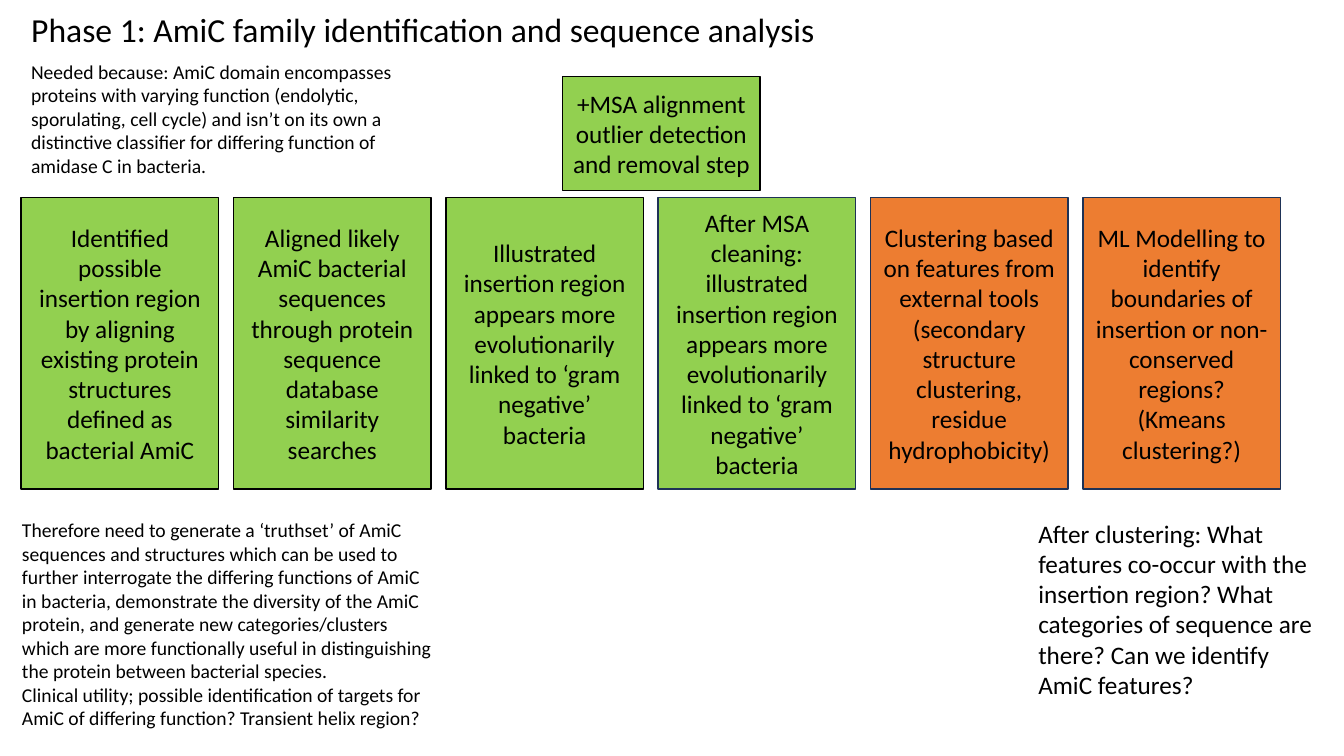
import pptx
import pptx.dml.color
import pptx.enum.shapes
import pptx.enum.text
import pptx.util

Inches = pptx.util.Inches
RGBColor = pptx.dml.color.RGBColor
Align = pptx.enum.text.PP_ALIGN
Anchor = pptx.enum.text.MSO_ANCHOR

BLACK = RGBColor(0x00, 0x00, 0x00)
NAVY = RGBColor(0x1E, 0x32, 0x56)
GREEN = RGBColor(0x92, 0xD0, 0x50)
ORANGE = RGBColor(0xED, 0x7D, 0x31)

STEP_LEFT, STEP_TOP, LAST_STEP_LEFT = 0.21, 1.96, 10.74
STEP_WIDTH, STEP_HEIGHT = 1.96, 2.89

STEPS = [
    ("Identified possible insertion region by aligning existing protein "
     "structures defined as bacterial AmiC", GREEN, BLACK),
    ("Aligned likely AmiC bacterial sequences through protein sequence "
     "database similarity searches", GREEN, BLACK),
    ("Illustrated insertion region appears more evolutionarily linked to "
     "‘gram negative’ bacteria", GREEN, BLACK),
    ("After MSA cleaning: illustrated insertion region appears more "
     "evolutionarily linked to ‘gram negative’ bacteria", GREEN, NAVY),
    ("Clustering based on features from external tools (secondary structure "
     "clustering, residue hydrophobicity)", ORANGE, NAVY),
    ("ML Modelling to identify boundaries of insertion or non-conserved "
     "regions? (Kmeans clustering?)", ORANGE, NAVY),
]

NEED = [
    "Needed because: AmiC domain encompasses proteins with varying function "
    "(endolytic, sporulating, cell cycle) and isn’t on its own a distinctive "
    "classifier for differing function of amidase C in bacteria.",
]
PURPOSE = [
    "Therefore need to generate a ‘truthset’ of AmiC sequences and structures "
    "which can be used to further interrogate the differing functions of AmiC "
    "in bacteria, demonstrate the diversity of the AmiC protein, and generate "
    "new categories/clusters which are more functionally useful in "
    "distinguishing the protein between bacterial species.",
    "Clinical utility; possible identification of targets for AmiC of "
    "differing function? Transient helix region?",
]
QUESTIONS = [
    "After clustering: What features co-occur with the insertion region? What "
    "categories of sequence are there? Can we identify AmiC features?",
]


class PhasePage:
    font = "Calibri"

    def __init__(self, deck):
        self.page = deck.slides.add_slide(deck.slide_layouts[5])

    def fill_text(self, box, texts, size, align=Align.LEFT, anchor=Anchor.TOP):
        frame = box.text_frame
        frame.word_wrap = True
        frame.auto_size = pptx.enum.text.MSO_AUTO_SIZE.NONE
        frame.vertical_anchor = anchor
        for index, text in enumerate(texts):
            para = frame.add_paragraph() if index else frame.paragraphs[0]
            para.alignment = align
            span = para.add_run()
            span.text = text
            span.font.name = self.font
            span.font.size = pptx.util.Pt(size)
            span.font.color.rgb = BLACK

    def title(self, text, left, top, width, height):
        box = self.page.shapes.title
        box.left, box.top = Inches(left), Inches(top)
        box.width, box.height = Inches(width), Inches(height)
        self.fill_text(box, [text], 24)

    def note(self, texts, size, left, top, width, height):
        box = self.page.shapes.add_textbox(
            Inches(left), Inches(top), Inches(width), Inches(height))
        self.fill_text(box, texts, size)

    def step(self, text, fill, line, left, top, height):
        box = self.page.shapes.add_shape(
            pptx.enum.shapes.MSO_SHAPE.RECTANGLE,
            Inches(left), Inches(top), Inches(STEP_WIDTH), Inches(height))
        box.shadow.inherit = False
        box.fill.solid()
        box.fill.fore_color.rgb = fill
        box.line.color.rgb = line
        box.line.width = pptx.util.Pt(1)
        self.fill_text(box, [text], 18, Align.CENTER, Anchor.MIDDLE)


def main():
    deck = pptx.Presentation()
    deck.slide_width, deck.slide_height = Inches(13.33), Inches(7.5)
    phase = PhasePage(deck)
    phase.title("Phase 1: AmiC family identification and sequence analysis",
                0.21, 0.04, 8.05, 0.5)
    phase.note(NEED, 14, 0.21, 0.54, 4.3, 1.28)
    phase.step("+MSA alignment outlier detection and removal step",
               GREEN, BLACK, 5.58, 0.76, 1.13)
    pitch = (LAST_STEP_LEFT - STEP_LEFT) / (len(STEPS) - 1)
    for index, (text, fill, line) in enumerate(STEPS):
        phase.step(text, fill, line, STEP_LEFT + index * pitch, STEP_TOP, STEP_HEIGHT)
    phase.note(PURPOSE, 14, 0.12, 5.09, 4.3, 2.22)
    phase.note(QUESTIONS, 18, 10.2, 5.09, 3.04, 1.92)
    deck.save("out.pptx")


if __name__ == "__main__":
    main()
